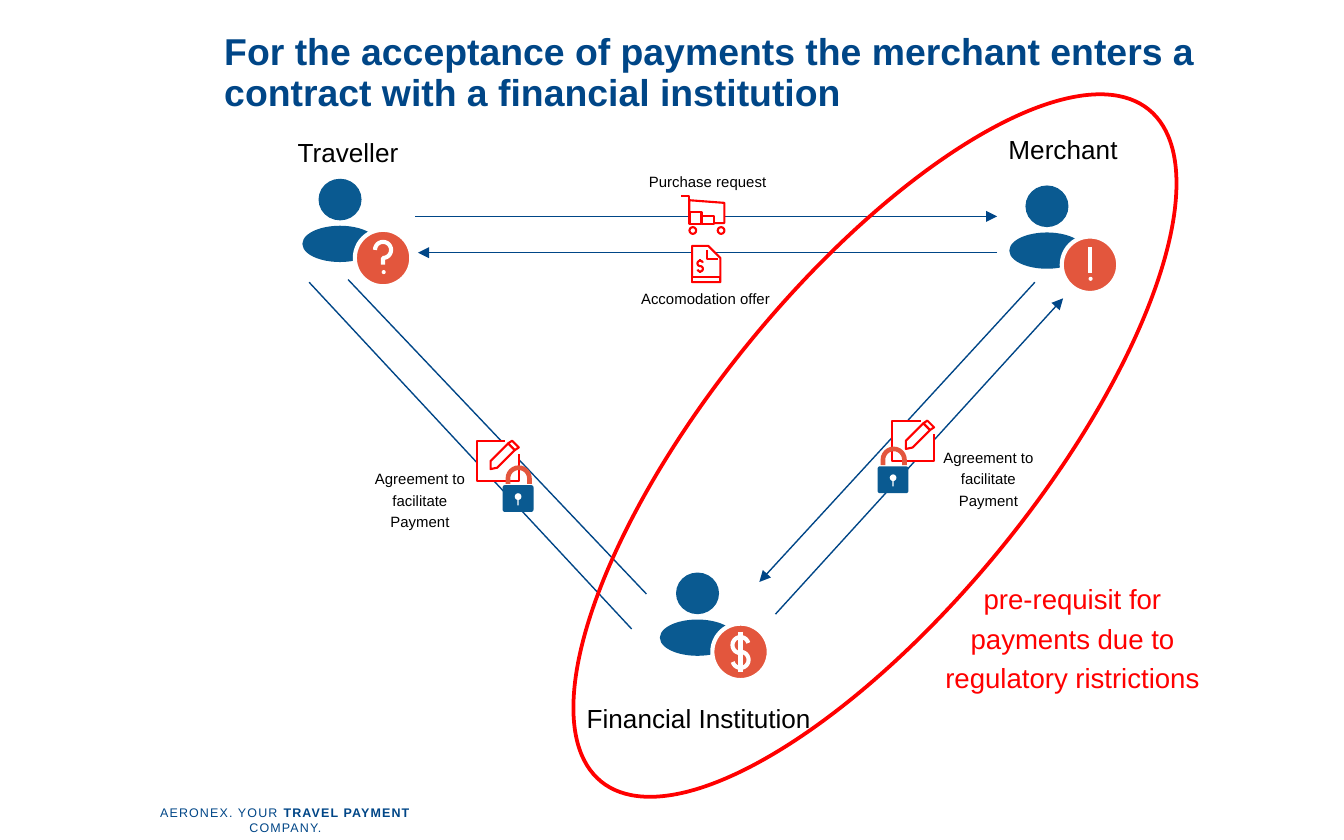
"""Build the slide on the contract between merchant and financial institution."""
import math

import lxml.etree
import pptx
import pptx.dml.color
import pptx.enum.shapes
import pptx.enum.text
import pptx.oxml.ns
import pptx.util

Inches = pptx.util.Inches
Pt = pptx.util.Pt
RGBColor = pptx.dml.color.RGBColor
Kind = pptx.enum.shapes.MSO_SHAPE
Align = pptx.enum.text.PP_ALIGN
qn = pptx.oxml.ns.qn

NAVY = RGBColor(0x00, 0x46, 0x87)
BLUE = RGBColor(0x0A, 0x5A, 0x91)
ORANGE = RGBColor(0xE3, 0x56, 0x3D)
RED = RGBColor(0xFF, 0x00, 0x00)
BLACK = RGBColor(0x00, 0x00, 0x00)
WHITE = RGBColor(0xFF, 0xFF, 0xFF)

presentation = pptx.Presentation()
presentation.slide_width = Inches(10)
presentation.slide_height = Inches(6.25)
slide = presentation.slides.add_slide(presentation.slide_layouts[6])


def add_text(text, box, size, color=BLACK, align=Align.CENTER, leading=1.2,
             bold="", margin=True, wrap=True, tracking=0):
    """Add a text box; the part of the text equal to bold is set in bold."""
    text_box = slide.shapes.add_textbox(*map(Inches, box))
    frame = text_box.text_frame
    frame.word_wrap = wrap
    if not margin:
        frame.margin_left = frame.margin_right = 0
        frame.margin_top = frame.margin_bottom = 0
    paragraph = frame.paragraphs[0]
    paragraph.alignment = align
    paragraph.line_spacing = leading
    before, middle, after = text.partition(bold) if bold else (text, "", "")
    for piece in filter(None, (before, middle, after)):
        run = paragraph.add_run()
        run.text = piece
        run.font.name = "Arial"
        run.font.size = Pt(size)
        run.font.color.rgb = color
        run.font.bold = bool(bold) and piece == bold
        if tracking:
            run.font._element.set("spc", str(tracking))


def draw(form, geometry, origin=(0, 0), fill=None, line=None, weight=1.13, closed=True):
    """Draw a preset form in a box, or an outline through points if form is None."""
    x, y = origin
    if form is None:
        points = [(Inches(x + px), Inches(y + py)) for px, py in geometry]
        builder = slide.shapes.build_freeform(*points[0])
        builder.add_line_segments(points[1:], close=closed)
        shape = builder.convert_to_shape()
    else:
        left, top, width, height = geometry
        shape = slide.shapes.add_shape(
            form, Inches(x + left), Inches(y + top), Inches(width), Inches(height))
    shape.shadow.inherit = False
    if fill is None:
        shape.fill.background()
    else:
        shape.fill.solid()
        shape.fill.fore_color.rgb = fill
    if line is None:
        shape.line.fill.background()
    else:
        shape.line.color.rgb = line
        shape.line.width = Pt(weight)
    return shape


add_text("AERONEX. YOUR TRAVEL PAYMENT COMPANY.", (0.91, 6, 2.43, 0.11), 6.7, NAVY,
         leading=0.95, bold="TRAVEL PAYMENT", margin=False, wrap=False, tracking=60)

for start_x, start_y, end_x, end_y, arrow in [
    (3.09, 1.61, 7.42, 1.61, True),
    (7.42, 1.88, 3.11, 1.88, True),
    (2.3, 2.1, 4.7, 4.68, False),
    (2.59, 2.08, 4.81, 4.42, False),
    (7.7, 2.1, 5.65, 4.33, True),
    (5.77, 4.57, 7.91, 2.22, True),
]:
    connector = slide.shapes.add_connector(
        pptx.enum.shapes.MSO_CONNECTOR.STRAIGHT,
        Inches(start_x), Inches(start_y), Inches(end_x), Inches(end_y))
    connector.line.color.rgb = NAVY
    connector.line.width = Pt(0.75)
    if arrow:
        lxml.etree.SubElement(connector.line._get_or_add_ln(), qn("a:tailEnd"), type="triangle")
    lxml.etree.SubElement(connector._element.spPr, qn("a:effectLst"))

wave = [(math.cos(math.radians(a)), math.sin(math.radians(a))) for a in range(0, 360, 15)]
hook = [wave[i % 24] for i in range(12, 31)]
upper_bow = [wave[-i % 24] for i in range(1, 19)]
lower_bow = [wave[i % 24] for i in range(18, 36)]
question = [(0.19 + 0.06 * x, 0.13 + 0.06 * y) for x, y in hook] + [(0.19, 0.24)]
exclamation = [(0.19, 0.06), (0.19, 0.25)]
dollar_bows = ([(0.19 + 0.06 * x, 0.14 + 0.06 * y) for x, y in upper_bow]
               + [(0.19 + 0.06 * x, 0.25 + 0.06 * y) for x, y in lower_bow])
dollar_bar = [(0.19, 0.04), (0.19, 0.34)]

for left, top, strokes, dotted in [
    (4.91, 4.26, [dollar_bows, dollar_bar], False),
    (2.25, 1.33, [question], True),
    (7.51, 1.38, [exclamation], True),
]:
    person = (left, top)
    badge = (left + 0.41, top + 0.4)
    draw(Kind.OVAL, (0.12, 0, 0.32, 0.31), person, BLUE)
    draw(Kind.OVAL, (0, 0.35, 0.56, 0.27), person, BLUE)
    draw(Kind.OVAL, (-0.02, -0.02, 0.42, 0.42), badge, ORANGE, WHITE, 2.2)
    for stroke in strokes:
        draw(None, stroke, badge, line=WHITE, weight=2.2, closed=False)
    if dotted:
        draw(Kind.OVAL, (0.18, 0.28, 0.03, 0.03), badge, WHITE)

for label, left, top in [("Traveller", 1.06, 0.92), ("Merchant", 6.38, 0.9),
                         ("Financial Institution", 3.67, 5.13)]:
    add_text(label, (left, top, 3.06, 0.38), 14)

cart = (5.07, 1.46)
draw(None, [(0.32, 0.2), (0.06, 0.2), (0.06, 0.03), (0.32, 0.05)], cart, WHITE, RED)
for wheel_x in (0.06, 0.27):
    draw(Kind.OVAL, (wheel_x, 0.23, 0.05, 0.05), cart, WHITE, RED)
draw(None, [(0.06, 0.16), (0.06, 0), (0, 0)], cart, line=RED, closed=False)
draw(Kind.RECTANGLE, (0.06, 0.12, 0.09, 0.09), cart, WHITE, RED)
draw(Kind.RECTANGLE, (0.15, 0.15, 0.09, 0.06), cart, WHITE, RED)

document = (5.15, 1.83)
draw(None, [(0.21, 0.27), (0, 0.27), (0, 0), (0.12, 0), (0.21, 0.09)], document, WHITE, RED)
price_sign = ([(0.06 + 0.02 * x, 0.13 + 0.02 * y) for x, y in upper_bow]
              + [(0.06 + 0.02 * x, 0.17 + 0.02 * y) for x, y in lower_bow])
for stroke in [
    [(0.11, 0.03), (0.11, 0.1), (0.19, 0.1)],
    price_sign,
    [(0.06, 0.19), (0.06, 0.2)],
    [(0.06, 0.1), (0.06, 0.11)],
]:
    draw(None, stroke, document, line=RED, closed=False)
draw(Kind.RECTANGLE, (0, 0.23, 0.21, 0.04), document, WHITE, RED)

shackle = ([(0.02, 0.13)] + [(0.1 + 0.08 * x, 0.09 + 0.08 * y) for x, y in wave[12:] + wave[:1]]
           + [(0.18, 0.13)])
for sheet, lock in [((6.64, 3.13), (6.55, 3.33)), ((3.55, 3.28), (3.76, 3.47))]:
    draw(None, [(0.31, 0.1), (0.31, 0.3), (0, 0.3), (0, 0), (0.21, 0)], sheet, WHITE, RED,
         closed=False)
    draw(None, [(0.31, 0.05), (0.28, 0.07), (0.23, 0.02), (0.26, 0)], sheet, WHITE, RED)
    draw(None, [(0.28, 0.07), (0.15, 0.2), (0.1, 0.21), (0.1, 0.15), (0.23, 0.02)],
         sheet, WHITE, RED)
    draw(None, shackle, lock, line=ORANGE, weight=2.5, closed=False)
    body = draw(Kind.ROUNDED_RECTANGLE, (-0.02, 0.14, 0.23, 0.2), lock, BLUE)
    body.adjustments[0] = 0.09
    draw(Kind.OVAL, (0.07, 0.2, 0.05, 0.05), lock, WHITE)
    draw(Kind.RECTANGLE, (0.09, 0.24, 0.01, 0.05), lock, WHITE)

for label, box in [
    ("Purchase request", (4.57, 1.21, 1.39, 0.26)),
    ("Accomodation offer", (4.55, 2.08, 1.4, 0.26)),
    ("Agreement to facilitate Payment", (6.82, 3.26, 1.07, 0.59)),
    ("Agreement to facilitate Payment", (2.59, 3.42, 1.07, 0.59)),
]:
    add_text(label, box, 8)

highlight = draw(Kind.OVAL, (5.3, 0.09, 2.42, 6.45), line=RED, weight=2)
highlight.rotation = 39.2
add_text("pre-requisit for payments due to regulatory ristrictions",
         (6.8, 4.23, 2.36, 0.92), 14.8, RED)

title = "For the acceptance of payments the merchant enters a contract with a financial institution"
add_text(title, (1.57, 0.2, 8.19, 0.94), 20, NAVY, Align.LEFT, 0.9, bold=title)

presentation.save("out.pptx")
